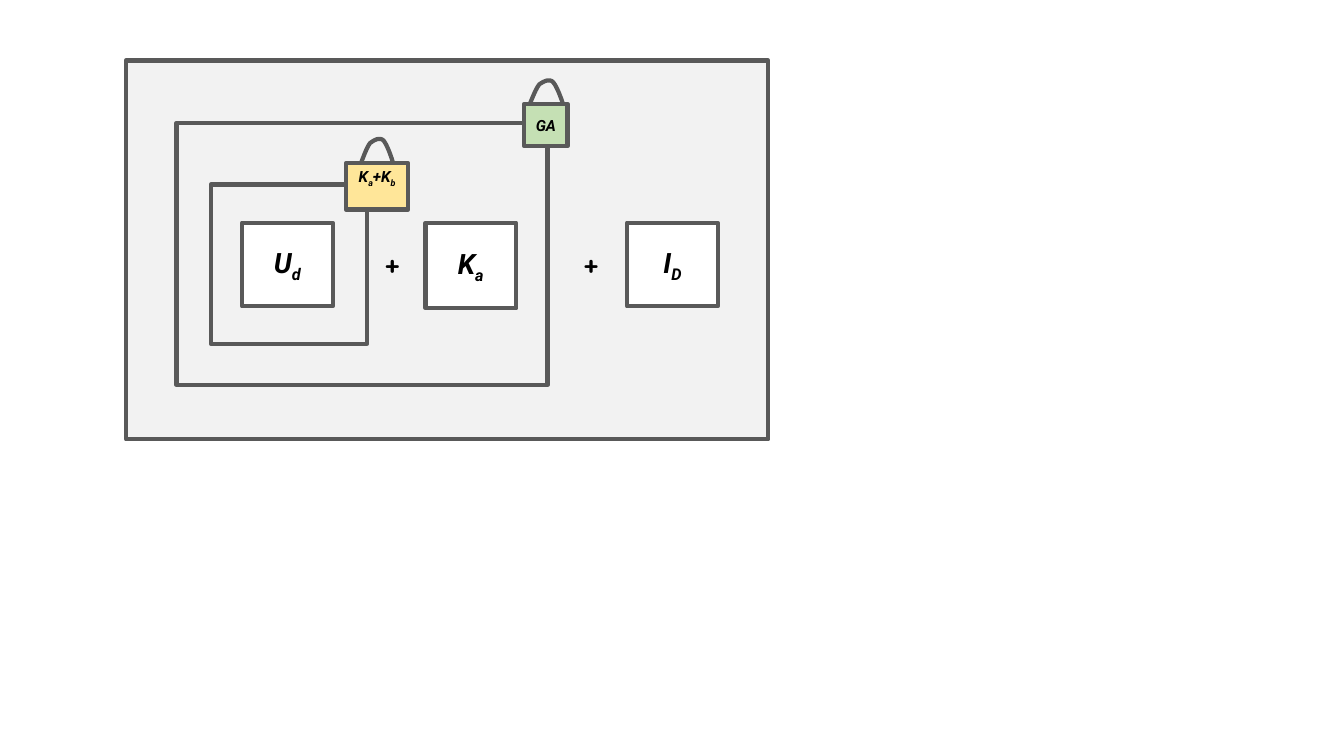
from dataclasses import dataclass

from pptx import Presentation
from pptx.dml.color import RGBColor
from pptx.enum.shapes import MSO_SHAPE
from pptx.enum.text import MSO_ANCHOR, PP_ALIGN
from pptx.shapes.autoshape import Shape
from pptx.slide import Slide
from pptx.util import Emu, Pt

PX = 9144  # 100 px to the inch
OUTLINE, PANEL, WHITE, BLACK = "595959", "F2F2F2", "FFFFFF", "000000"
YELLOW, GREEN = "FFE699", "C5E0B4"

# Padlock shackle: two-part Bezier curves from its left foot
SHACKLE_HEIGHT = 24
SHACKLE = [
    [(0, 0), (3, -8), (6, -16), (9, -20)],
    [(9, -20), (13, -23), (18, -26), (22, -23)],
    [(22, -23), (25, -20), (29, -10), (32, 0)],
]
CURVE_STEPS = 12


@dataclass
class Block:
    left: int
    top: int
    width: int
    height: int
    fill: str
    label: str = ""  # "_" puts the next letter in subscript
    size: int = 20
    bottom_inset: int = 5


@dataclass
class Lock:
    body: Block
    shackle_left: int
    shackle_foot: int
    shackle_height: int


def px(value: float) -> Emu:
    return Emu(round(value * PX))


def colour(code: str) -> RGBColor:
    return RGBColor.from_string(code)


def outline(shape: Shape) -> None:
    shape.shadow.inherit = False
    shape.line.color.rgb = colour(OUTLINE)
    shape.line.width = Pt(3)


def write_label(box: Shape, block: Block) -> None:
    frame = box.text_frame
    frame.word_wrap = True
    frame.vertical_anchor = MSO_ANCHOR.MIDDLE
    frame.margin_left = frame.margin_right = 0
    frame.margin_bottom = px(block.bottom_inset)
    para = frame.paragraphs[0]
    para.alignment = PP_ALIGN.CENTER
    first, *rest = block.label.split("_")
    pieces = [(first, False)]
    for part in rest:
        pieces += [(part[0], True), (part[1:], False)]
    for text, is_subscript in pieces:
        if not text:
            continue
        span = para.add_run()
        span.text = text
        span.font.name = "Roboto"
        span.font.size = Pt(block.size)
        span.font.bold = span.font.italic = True
        span.font.color.rgb = colour(BLACK)
        if is_subscript:
            span.font._element.set("baseline", "-25000")


def draw_block(page: Slide, block: Block) -> None:
    box = page.shapes.add_shape(
        MSO_SHAPE.RECTANGLE,
        px(block.left), px(block.top), px(block.width), px(block.height),
    )
    outline(box)
    box.fill.solid()
    box.fill.fore_color.rgb = colour(block.fill)
    if block.label:
        write_label(box, block)


def curve_point(curve: list[tuple[int, int]], t: float) -> tuple[float, float]:
    weights = ((1 - t) ** 3, 3 * t * (1 - t) ** 2, 3 * t**2 * (1 - t), t**3)
    x = sum(weight * point[0] for weight, point in zip(weights, curve))
    y = sum(weight * point[1] for weight, point in zip(weights, curve))
    return x, y


def draw_lock(page: Slide, lock: Lock) -> None:
    draw_block(page, lock.body)
    stretch = lock.shackle_height / SHACKLE_HEIGHT
    points = []
    for curve in SHACKLE:
        for step in range(1, CURVE_STEPS + 1):
            x, y = curve_point(curve, step / CURVE_STEPS)
            points.append((px(lock.shackle_left + x),
                           px(lock.shackle_foot + y * stretch)))
    builder = page.shapes.build_freeform(
        px(lock.shackle_left), px(lock.shackle_foot))
    builder.add_line_segments(points, close=False)
    shackle = builder.convert_to_shape()
    shackle.fill.background()
    outline(shackle)


def draw_plus(page: Slide, left: int) -> None:
    box = page.shapes.add_textbox(px(left), px(242), px(43), px(40))
    box.text_frame.word_wrap = True
    para = box.text_frame.paragraphs[0]
    para.text = "+"
    span = para.runs[0]
    span.font.name = "Quicksand"
    span.font.size = Pt(18)
    span.font.bold = True
    span.font.color.rgb = colour(BLACK)


FRAMES = [
    Block(125, 60, 637, 376, PANEL),
    Block(175, 122, 368, 260, PANEL),
    Block(209, 183, 155, 158, PANEL),
]
LOCKS = [
    Lock(Block(343, 162, 62, 46, YELLOW, "K_a+K_b", 11, 23), 358, 162, 24),
    Lock(Block(520, 103, 43, 42, GREEN, "GA", 11), 526, 102, 22),
]
TERMS = [
    Block(422, 221, 90, 85, WHITE, "K_a"),
    Block(622, 221, 90, 83, WHITE, "I_D"),
    Block(240, 221, 90, 83, WHITE, "U_d"),
]
PLUS_LEFTS = [569, 372]


def main() -> None:
    deck = Presentation()
    deck.slide_width, deck.slide_height = px(1333), px(750)
    page = deck.slides.add_slide(deck.slide_layouts[6])

    # Nested frames and the terms inside them
    for block in FRAMES + TERMS:
        draw_block(page, block)
    # Padlocks on the frame corners
    for lock in LOCKS:
        draw_lock(page, lock)
    # Plus signs between the terms
    for left in PLUS_LEFTS:
        draw_plus(page, left)

    deck.save("out.pptx")


if __name__ == "__main__":
    main()
